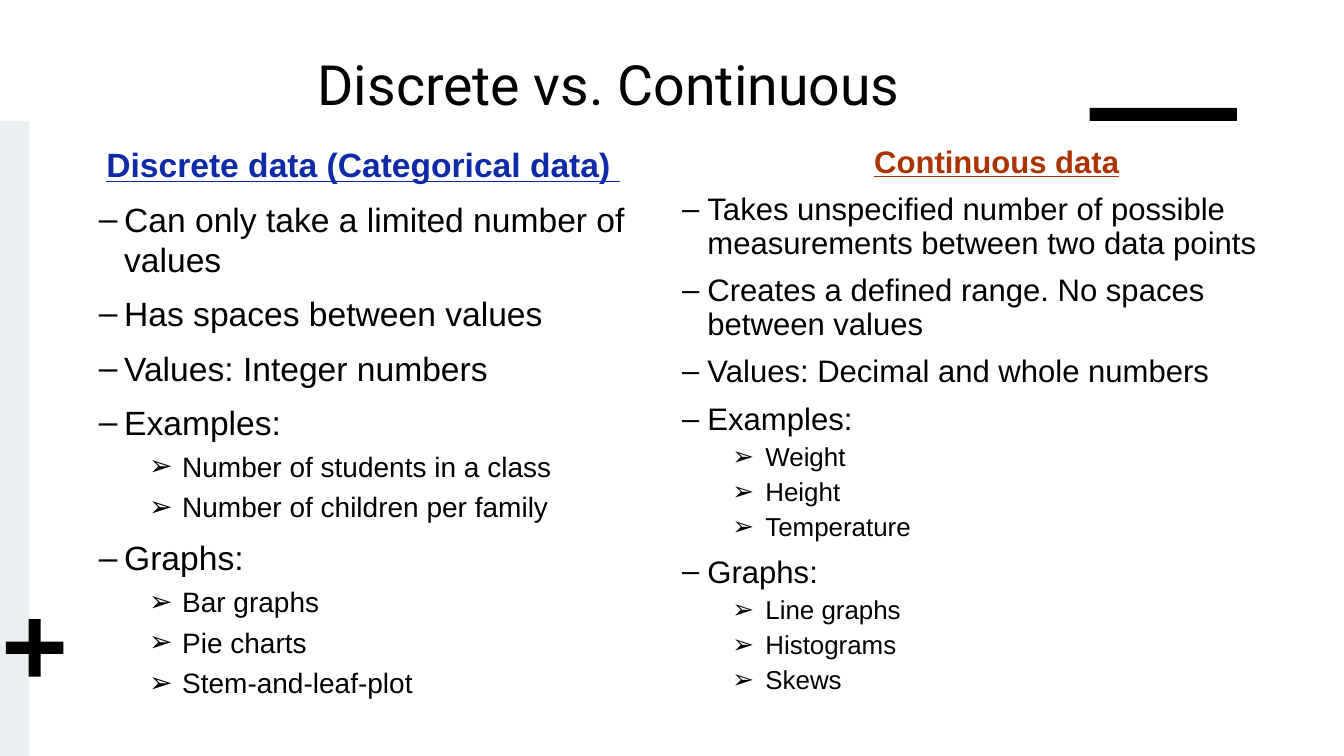
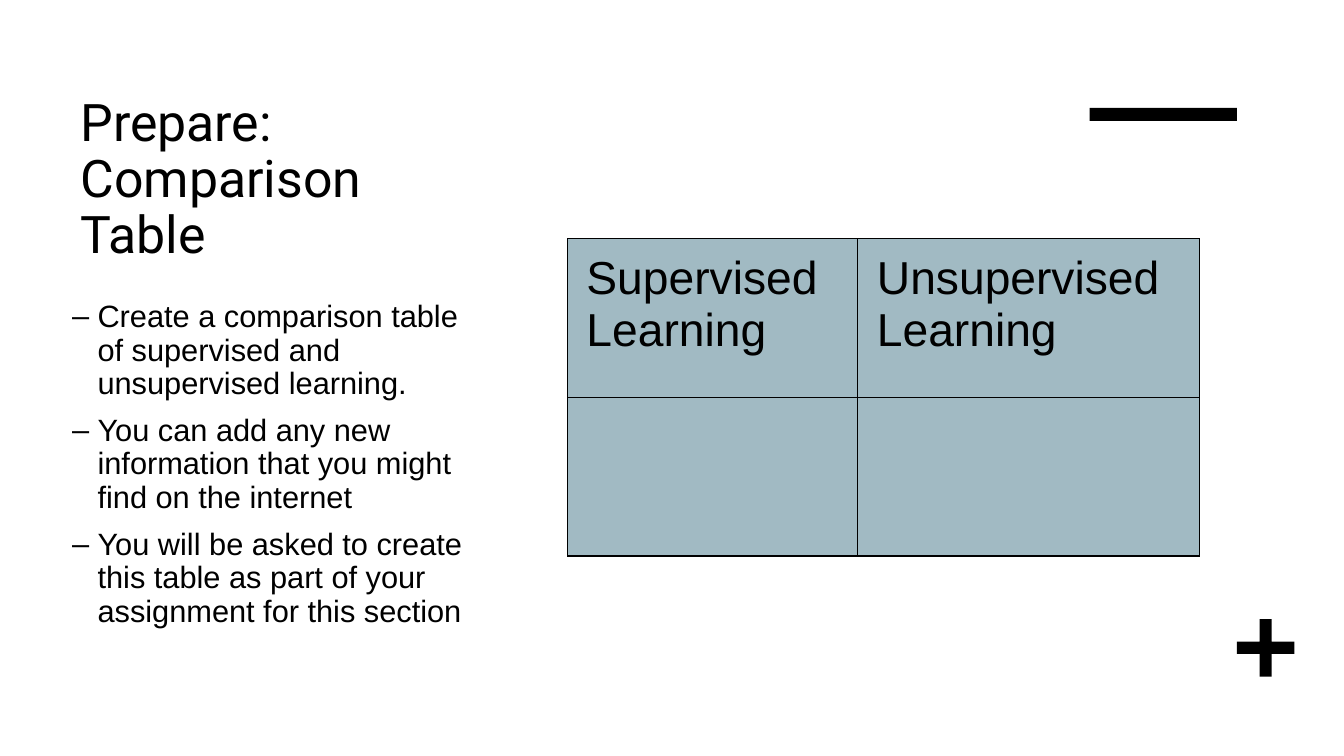
from lxml import etree
from pptx import Presentation
from pptx.dml.color import RGBColor
from pptx.enum.shapes import MSO_SHAPE as SHAPE
from pptx.enum.text import MSO_ANCHOR as ANCHOR, PP_ALIGN as ALIGN
from pptx.oxml.ns import qn
from pptx.util import Cm, Pt

BLACK = RGBColor(0x00, 0x00, 0x00)
PALE = RGBColor(0xE9, 0xEF, 0xF1)
BLUE = RGBColor(0x0D, 0x2A, 0xA7)
RUST = RGBColor(0xAA, 0x33, 0x00)
STEEL = RGBColor(0xA1, 0xBA, 0xC3)

TITLE_FONT, BODY_FONT = "Roboto", "Arial"
# level: (bullet, left margin in cm, hanging indent in cm, space before in points)
LEVELS = [("–", 0.64, 0.64, 10), ("➢", 2.1, 0.83, 5)]


class Deck:
    """Holds the shared style and the slide being built."""

    def __init__(self):
        self.prs = Presentation()
        self.prs.slide_width, self.prs.slide_height = Cm(33.87), Cm(19.05)
        self.s = None

    def new_slide(self, plus_left):
        """Start a slide with the accent bar and the plus sign."""
        self.s = self.prs.slides.add_slide(self.prs.slide_layouts[6])
        self.shape(SHAPE.RECTANGLE, 27.46, 2.72, 3.71, 0.33, BLACK)
        plus = self.shape(SHAPE.CROSS, plus_left, 15.6, 1.45, 1.45, BLACK)
        plus.adjustments[0] = 0.395

    def shape(self, kind, left, top, width, height, color):
        sp = self.s.shapes.add_shape(kind, Cm(left), Cm(top), Cm(width), Cm(height))
        sp.shadow.inherit = False
        sp.fill.solid()
        sp.fill.fore_color.rgb = color
        sp.line.fill.background()
        return sp

    def frame(self, left, top, width, height):
        tf = self.s.shapes.add_textbox(Cm(left), Cm(top), Cm(width), Cm(height)).text_frame
        tf.word_wrap = True
        return tf

    def run(self, p, text, size, font=BODY_FONT, color=BLACK, strong=False):
        r = p.add_run()
        r.text = text
        r.font.name, r.font.size = font, Pt(size)
        r.font.color.rgb = color
        if strong:
            r.font.bold = r.font.underline = True

    def title(self, box, text, size, align=ALIGN.LEFT, spacing=1.0):
        p = self.frame(*box).paragraphs[0]
        p.alignment, p.line_spacing = align, spacing
        self.run(p, text, size, TITLE_FONT)

    def bullets(self, box, items, sizes, spacing, heading=None, color=BLACK):
        """Add (level, text) items, below an optional underlined heading."""
        tf = self.frame(*box)
        p = tf.paragraphs[0]
        if heading:
            p.alignment, p.line_spacing, p.space_before = ALIGN.CENTER, spacing, Pt(10)
            self.run(p, heading, sizes[0], color=color, strong=True)
            p = None
        for level, text in items:
            p = p or tf.add_paragraph()
            char, margin, hanging, before = LEVELS[level]
            p.level, p.line_spacing, p.space_before = level, spacing, Pt(before)
            pPr = p._p.get_or_add_pPr()
            pPr.set("marL", str(Cm(margin)))
            pPr.set("indent", str(-Cm(hanging)))
            etree.SubElement(pPr, qn("a:buFont")).set("typeface", BODY_FONT)
            etree.SubElement(pPr, qn("a:buChar")).set("char", char)
            self.run(p, text, sizes[level])
            p = None

    def table(self, left, top, widths, heights, rows, size):
        table = self.s.shapes.add_table(
            len(heights), len(widths), Cm(left), Cm(top),
            Cm(sum(widths)), Cm(sum(heights))).table
        for col, width in zip(table.columns, widths):
            col.width = Cm(width)
        for i, (row, height) in enumerate(zip(table.rows, heights)):
            row.height = Cm(height)
            for cell, text in zip(row.cells, rows[i]):
                self.borders(cell, 1.5 if i == len(rows) - 1 else 0.75)
                cell.fill.solid()
                cell.fill.fore_color.rgb = STEEL
                cell.vertical_anchor = ANCHOR.BOTTOM
                cell.margin_left, cell.margin_top = Cm(0.48), Cm(0.15)
                cell.margin_right, cell.margin_bottom = Cm(0.08), Cm(1.04)
                if text:
                    self.run(cell.text_frame.paragraphs[0], text, size)

    def borders(self, cell, bottom):
        tcPr = cell._tc.get_or_add_tcPr()
        for side, width in (("L", 0.75), ("R", 0.75), ("T", 0.75), ("B", bottom)):
            ln = etree.SubElement(tcPr, qn(f"a:ln{side}"), w=str(Pt(width)))
            fill = etree.SubElement(ln, qn("a:solidFill"))
            etree.SubElement(fill, qn("a:srgbClr"), val=str(BLACK))


def discrete_vs_continuous(deck):
    deck.new_slide(plus_left=0.15)
    band = deck.shape(SHAPE.RECTANGLE, 0, 3.05, 0.74, 16, PALE)
    deck.s.shapes._spTree.insert(2, band._element)
    deck.title((4.85, 1.14, 20.98, 1.73), "Discrete vs. Continuous", 39.6, ALIGN.CENTER)
    deck.bullets((2.24, 3.51, 13.82, 14.33), [
        (0, "Can only take a limited number of values"),
        (0, "Has spaces between values"),
        (0, "Values: Integer numbers"),
        (0, "Examples:"),
        (1, "Number of students in a class"),
        (1, "Number of children per family"),
        (0, "Graphs:"),
        (1, "Bar graphs"),
        (1, "Pie charts"),
        (1, "Stem-and-leaf-plot"),
    ], (24, 20), 1.0, "Discrete data (Categorical data) ", BLUE)
    deck.bullets((16.94, 3.56, 16.36, 14.45), [
        (0, "Takes unspecified number of possible measurements between two data points"),
        (0, "Creates a defined range. No spaces between values"),
        (0, "Values: Decimal and whole numbers"),
        (0, "Examples:"),
        (1, "Weight"),
        (1, "Height"),
        (1, "Temperature"),
        (0, "Graphs:"),
        (1, "Line graphs"),
        (1, "Histograms"),
        (1, "Skews"),
    ], (22.2, 18.5), 0.9, "Continuous data", RUST)


def comparison_table(deck):
    deck.new_slide(plus_left=31.17)
    deck.title((1.78, 2.31, 10.03, 4.01), "Prepare: Comparison Table", 37, spacing=0.9)
    deck.bullets((1.57, 7.47, 10.46, 8.86), [
        (0, "Create a comparison table of supervised and unsupervised learning."),
        (0, "You can add any new information that you might find on the internet"),
        (0, "You will be asked to create this table as part of your "
            "assignment for this section"),
    ], (22, 20), 0.9)
    deck.table(14.3, 6.02, (7.32, 8.61), (3.78, 4.01),
               [("Supervised Learning", "Unsupervised Learning"), ("", "")], 33)


def main():
    deck = Deck()
    discrete_vs_continuous(deck)
    comparison_table(deck)
    deck.prs.save("out.pptx")


if __name__ == "__main__":
    main()
